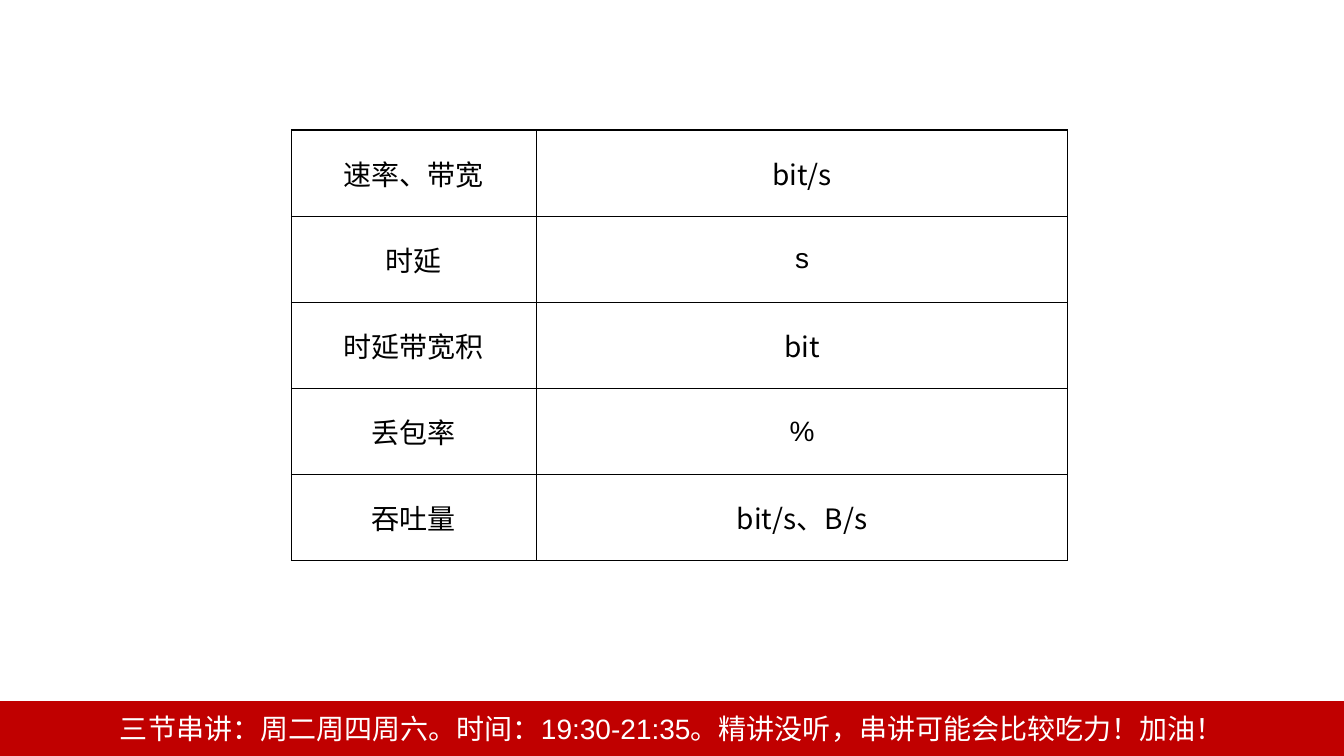
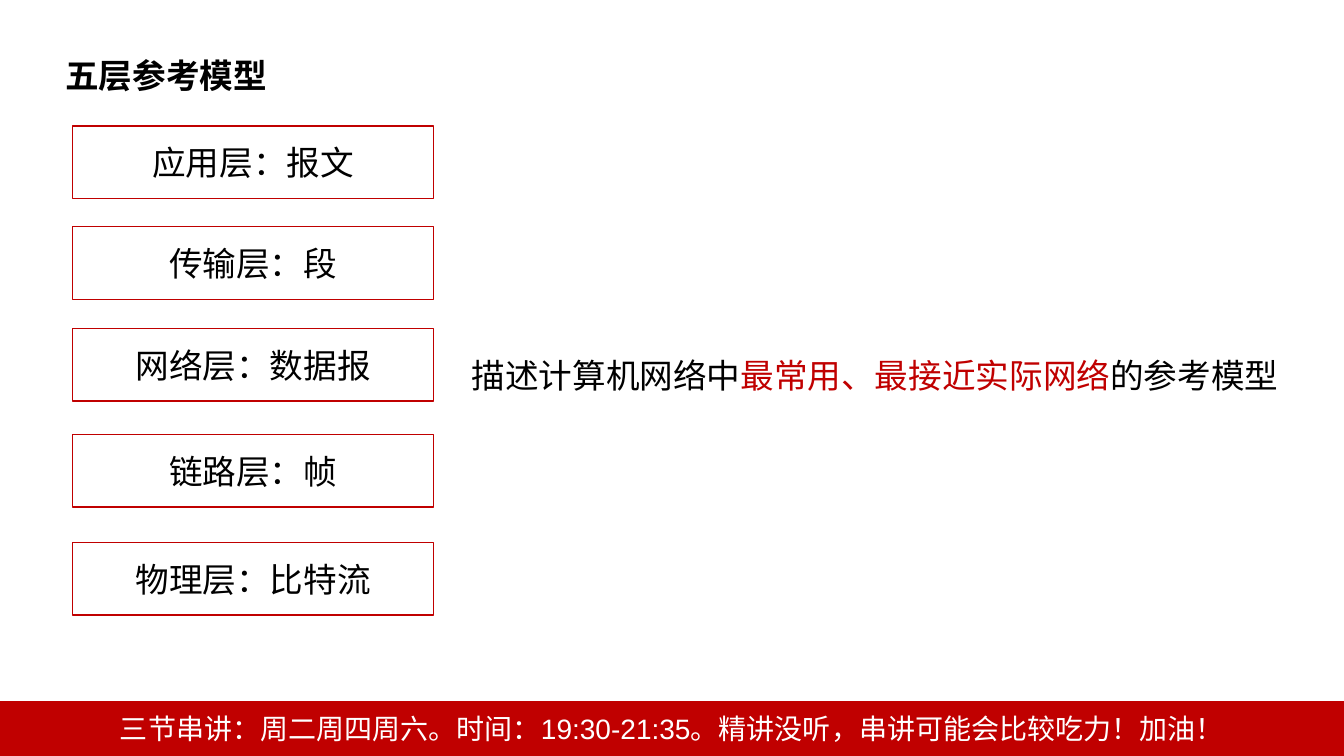
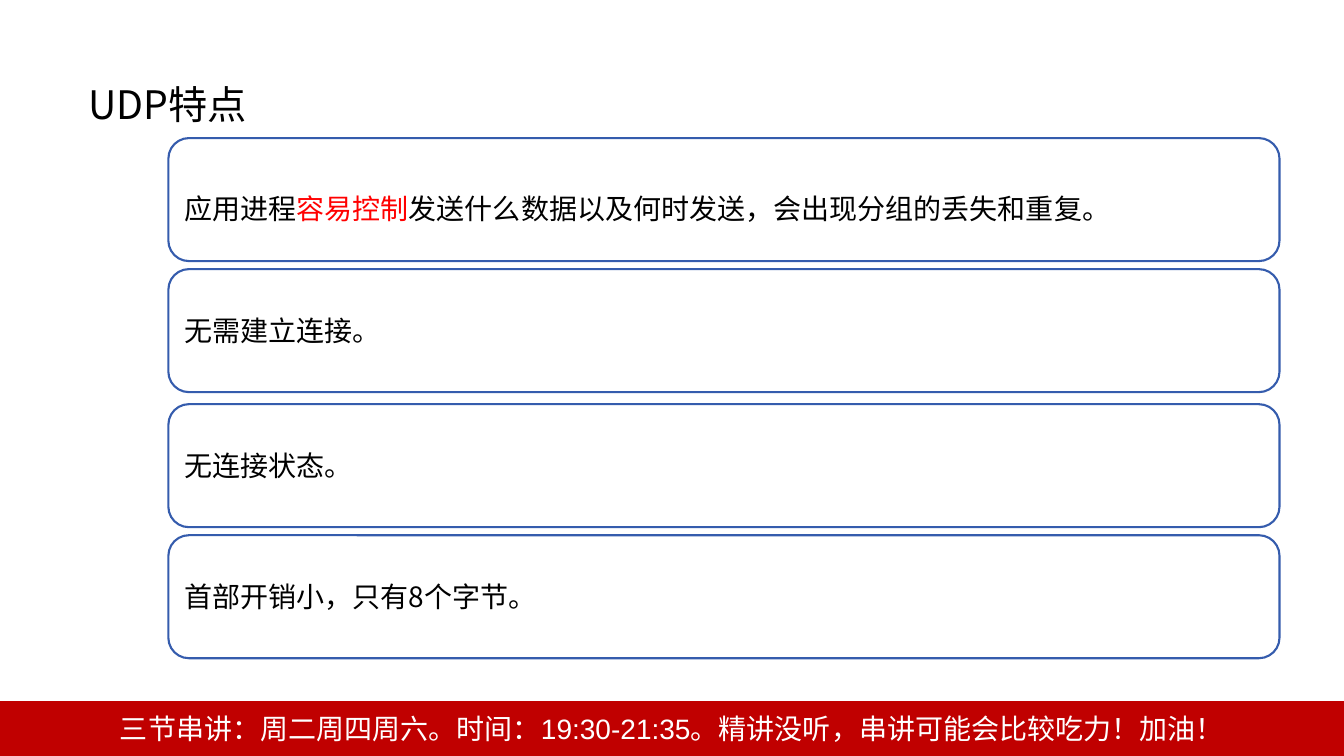
from dataclasses import dataclass

from lxml.etree import SubElement
from pptx import Presentation
from pptx.dml.color import RGBColor
from pptx.enum.shapes import MSO_SHAPE
from pptx.enum.text import MSO_ANCHOR, MSO_AUTO_SIZE, PP_ALIGN
from pptx.oxml import parse_xml
from pptx.oxml.ns import nsdecls, qn
from pptx.util import Inches, Pt


@dataclass(frozen=True)
class Theme:
    """Colours, fonts and type sizes of the deck."""
    black: str = "000000"
    white: str = "FFFFFF"
    crimson: str = "C00000"
    red: str = "FF0000"
    blue: str = "355CAD"
    sans: str = "Noto Sans CJK SC"
    arial: str = "Arial"
    body: int = 20
    large: int = 24
    title: int = 28


THEME = Theme()
FOOTER = "三节串讲：周二周四周六。时间：19:30-21:35。精讲没听，串讲可能会比较吃力！加油！"
UNITS = [
    ("速率、带宽", "bit/s", THEME.sans),
    ("时延", "s", THEME.arial),
    ("时延带宽积", "bit", THEME.sans),
    ("丢包率", "%", THEME.arial),
    ("吞吐量", "bit/s、B/s", THEME.sans),
]
LAYERS = [
    (1.25, "应用层：报文"),
    (2.25, "传输层：段"),
    (3.26, "网络层：数据报"),
    (4.31, "链路层：帧"),
    (5.38, "物理层：比特流"),
]
MODEL_NOTE = [
    ("描述计算机网络中", THEME.black),
    ("最常用、最接近实际网络", THEME.crimson),
    ("的参考模型", THEME.black),
]
CONTROL_NOTE = [
    ("应用进程", THEME.black),
    ("容易控制", THEME.red),
    ("发送什么数据以及何时发送，会出现分组的丢失和重复。", THEME.black),
]
UDP_FEATURES = [
    (1.37, CONTROL_NOTE, 1.5),
    (2.67, "无需建立连接。", None),
    (4.01, "无连接状态。", None),
    (5.31, "首部开销小，只有8个字节。", None),
]


def write(frame, text, *, size=THEME.body, font=THEME.sans, color=THEME.black,
          bold=False, align=PP_ALIGN.LEFT, spacing=None):
    """Write a string, or (string, colour) pairs, as one formatted paragraph."""
    para = frame.paragraphs[0]
    para.alignment = align
    if spacing:
        para.line_spacing = spacing
    for words, tint in [(text, color)] if isinstance(text, str) else text:
        span = para.add_run()
        span.text = words
        span.font.size = Pt(size)
        span.font.bold = bold
        span.font.name = font
        span.font.color.rgb = RGBColor.from_string(tint)
        SubElement(span.font._element, qn("a:ea"), typeface=THEME.sans)


def add_panel(page, area, text, *, kind=MSO_SHAPE.RECTANGLE, fill=None,
              line=THEME.crimson, width=1, **style):
    """Add an outlined shape with vertically centred text."""
    panel = page.shapes.add_shape(kind, *map(Inches, area))
    panel.shadow.inherit = False
    if fill:
        panel.fill.solid()
        panel.fill.fore_color.rgb = RGBColor.from_string(fill)
    else:
        panel.fill.background()
    panel.line.color.rgb = RGBColor.from_string(line)
    panel.line.width = Pt(width)
    panel.text_frame.word_wrap = True
    panel.text_frame.vertical_anchor = MSO_ANCHOR.MIDDLE
    write(panel.text_frame, text, **style)
    return panel


def add_text(page, area, text, *, wrap=True, grow=True, **style):
    """Add a text box with one and a half line spacing."""
    box = page.shapes.add_textbox(*map(Inches, area))
    frame = box.text_frame
    frame.word_wrap = wrap
    if grow:
        frame.auto_size = MSO_AUTO_SIZE.SHAPE_TO_FIT_TEXT
    write(frame, text, spacing=1.5, **style)
    return frame


def set_borders(cell):
    """Draw a thin black line on all four sides of a cell."""
    properties = cell._tc.get_or_add_tcPr()
    for position, side in enumerate(("lnL", "lnR", "lnT", "lnB")):
        properties.insert(position, parse_xml(
            f'<a:{side} {nsdecls("a")} w="{Pt(1)}"><a:solidFill>'
            f'<a:srgbClr val="{THEME.black}"/></a:solidFill></a:{side}>'))


def add_grid(page, area, widths, rows):
    """Add a plain bordered table of quantities and their units."""
    table = page.shapes.add_table(len(rows), len(widths), *map(Inches, area)).table
    table.first_row = table.horz_banding = False
    for column, width in zip(table.columns, widths):
        column.width = Inches(width)
    for index, (name, unit, font) in enumerate(rows):
        for column, (text, face) in enumerate([(name, THEME.arial), (unit, font)]):
            cell = table.cell(index, column)
            cell.fill.background()
            cell.vertical_anchor = MSO_ANCHOR.MIDDLE
            set_borders(cell)
            write(cell.text_frame, text, font=face, align=PP_ALIGN.CENTER)


def add_master_footer(deck, page):
    """Build the footer band and move it to the slide master."""
    band = add_panel(page, (0, 6.96, 13.33, 0.54), FOOTER, fill=THEME.crimson,
                     font=THEME.arial, color=THEME.white, align=PP_ALIGN.CENTER)
    band.element.nvSpPr.cNvPr.set("id", "20")
    deck.slide_master.element.cSld.spTree.append(band.element)


def build_units(page):
    """Show the units of the performance measures."""
    add_grid(page, (2.89, 1.29, 7.7, 4.27), (2.43, 5.27), UNITS)


def build_layers(page):
    """Show the five layers of the reference model."""
    for top, label in LAYERS:
        add_panel(page, (0.72, top, 3.58, 0.72), label,
                  size=THEME.large, align=PP_ALIGN.CENTER)
    add_text(page, (4.58, 3.27, 8.22, 0.71), MODEL_NOTE, size=THEME.large)
    add_text(page, (0.55, 0.3, 2.22, 0.64), "五层参考模型", wrap=False,
             size=THEME.large, bold=True)


def build_udp(page):
    """Show the features of UDP."""
    heading = add_text(page, (0.76, 0.39, 12.16, 1.04), "UDP特点",
                       grow=False, size=THEME.title)
    heading.vertical_anchor = MSO_ANCHOR.MIDDLE
    heading.margin_left = heading.margin_right = Inches(0.12)
    heading.margin_top = heading.margin_bottom = Inches(0.06)
    for top, text, spacing in UDP_FEATURES:
        add_panel(page, (1.67, top, 11.02, 1.22), text, spacing=spacing,
                  kind=MSO_SHAPE.ROUNDED_RECTANGLE, line=THEME.blue, width=1.5)


def main():
    """Build and save the deck."""
    deck = Presentation()
    deck.slide_width, deck.slide_height = Inches(13.33), Inches(7.5)
    blank = deck.slide_layouts[6]
    pages = [deck.slides.add_slide(blank) for _ in range(3)]
    add_master_footer(deck, pages[0])
    for build, page in zip((build_units, build_layers, build_udp), pages):
        build(page)
    deck.save("out.pptx")


if __name__ == "__main__":
    main()
